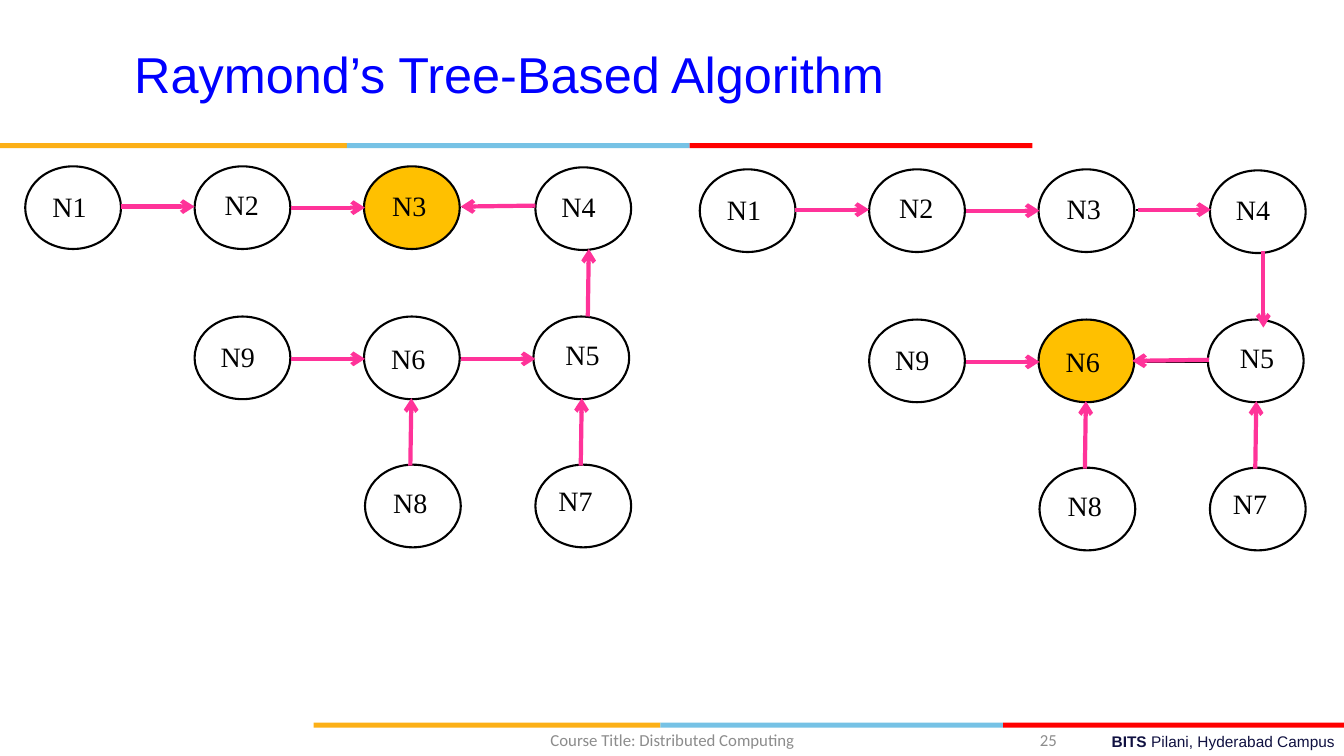
import dataclasses

import pptx
import pptx.dml.color
import pptx.enum.shapes
import pptx.enum.text
import pptx.oxml
import pptx.util
from pptx.util import Inches

ALIGN = pptx.enum.text.PP_ALIGN
ANCHOR = pptx.enum.text.MSO_ANCHOR
SHAPE = pptx.enum.shapes.MSO_SHAPE


@dataclasses.dataclass(frozen=True)
class Theme:
    """Colours, fonts and sizes of the slide."""
    title: str = "0000FF"
    campus: str = "101141"
    footer: str = "8C8C8C"
    ink: str = "000000"
    node: str = "FFFFFF"
    holder: str = "FFC000"
    pointer: str = "FF3399"
    stripes: tuple = ("FCB017", "76C2E5", "FF0000")
    title_font: str = "Arial"
    footer_font: str = "Calibri"
    node_font: str = "Times New Roman"
    title_size: int = 36
    node_size: int = 20
    footer_size: int = 12
    campus_size: int = 11
    outline: float = 1.5
    pointer_width: float = 3


THEME = Theme()
STRIPE_WIDTHS = (3.44, 3.4, 3.4)
NODE_SIZE = (0.95, 0.82)
RIGHT_TREE = (6.69, 0.03)

# Each node: ellipse left and top, then label left and top.
NODES = {
    "N1": (0.25, 1.65, 0.42, 1.83),
    "N2": (1.93, 1.65, 2.13, 1.81),
    "N3": (3.61, 1.65, 3.79, 1.82),
    "N4": (5.31, 1.66, 5.47, 1.83),
    "N5": (5.29, 3.14, 5.51, 3.3),
    "N6": (3.61, 3.14, 3.78, 3.34),
    "N7": (5.31, 4.61, 5.44, 4.75),
    "N8": (3.62, 4.61, 3.8, 4.77),
    "N9": (1.93, 3.14, 2.09, 3.32),
}
EDGES = [
    (1.19, 2.05, 1.91, 2.05), (2.88, 2.05, 3.6, 2.05),
    (4.58, 2.05, 5.3, 2.05), (5.83, 2.46, 5.83, 3.14),
    (2.89, 3.56, 3.61, 3.56), (4.57, 3.56, 5.29, 3.56),
    (4.08, 3.94, 4.08, 4.62), (5.77, 3.95, 5.77, 4.63),
]
SHARED_POINTERS = [
    (1.2, 2.05, 1.93, 2.05), (2.89, 2.06, 3.62, 2.06),
    (2.89, 3.56, 3.62, 3.56), (4.07, 4.62, 4.08, 3.95),
    (5.76, 4.62, 5.77, 3.95),
]
POINTERS_TO_N3 = [
    (5.31, 2.04, 4.57, 2.05), (5.83, 3.14, 5.84, 2.47),
    (4.57, 3.56, 5.31, 3.56),
]
POINTERS_TO_N6 = [
    (4.6, 2.05, 5.32, 2.05), (5.84, 2.46, 5.84, 3.22),
    (5.3, 3.54, 4.54, 3.55),
]


def rgb(code):
    """Return a colour from its hexadecimal code."""
    return pptx.dml.color.RGBColor.from_string(code)


def add_run(paragraph, text, font, size, color, bold=False):
    """Add one formatted run to a paragraph."""
    run = paragraph.add_run()
    run.text = text
    run.font.name = font
    run.font.size = pptx.util.Pt(size)
    run.font.bold = bold
    run.font.color.rgb = rgb(color)


def add_text(shapes, box, runs, align=ALIGN.LEFT, anchor=ANCHOR.TOP):
    """Add a wrapped text box holding one paragraph of runs."""
    frame = shapes.add_textbox(*map(Inches, box)).text_frame
    frame.word_wrap = True
    frame.vertical_anchor = anchor
    paragraph = frame.paragraphs[0]
    paragraph.alignment = align
    for run in runs:
        add_run(paragraph, *run)


def add_filled(shapes, kind, box, fill, outline=None):
    """Add a flat preset shape with an optional outline."""
    shape = shapes.add_shape(kind, *map(Inches, box))
    shape.shadow.inherit = False
    shape.fill.solid()
    shape.fill.fore_color.rgb = rgb(fill)
    if outline:
        shape.line.color.rgb = rgb(outline)
        shape.line.width = pptx.util.Pt(THEME.outline)
    else:
        shape.line.fill.background()


def add_line(shapes, ends, color, width, arrow=False):
    """Add a straight connector, with an open arrowhead if asked."""
    connector = shapes.add_connector(
        pptx.enum.shapes.MSO_CONNECTOR.STRAIGHT, *map(Inches, ends))
    connector.line.color.rgb = rgb(color)
    connector.line.width = pptx.util.Pt(width)
    if arrow:
        head = pptx.oxml.parse_xml(
            '<a:tailEnd xmlns:a="http://schemas.openxmlformats.org/drawingml/2006/main" type="arrow"/>')
        connector.line._get_or_add_ln().append(head)
    properties = connector._element.spPr
    properties.append(properties.makeelement(pptx.oxml.ns.qn("a:effectLst"), {}))


def add_stripe(slide, left, top):
    """Add the three-coloured rule as a group."""
    group = slide.shapes.add_group_shape()
    for width, color in zip(STRIPE_WIDTHS, THEME.stripes):
        add_filled(group.shapes, SHAPE.RECTANGLE, (left, top, width, 0.05), color)
        left += width


def add_tree(slide, holder, pointers, offset=(0, 0)):
    """Add one tree as a group, with the token holder highlighted."""
    shapes = slide.shapes.add_group_shape().shapes
    dx, dy = offset

    def shifted(ends):
        """Move line ends to the place of this tree."""
        x1, y1, x2, y2 = ends
        return x1 + dx, y1 + dy, x2 + dx, y2 + dy

    for edge in EDGES:
        add_line(shapes, shifted(edge), THEME.ink, THEME.outline)
    for name, place in NODES.items():
        left, top, label_left, label_top = shifted(place)
        fill = THEME.holder if name == holder else THEME.node
        add_filled(shapes, SHAPE.OVAL, (left, top, *NODE_SIZE), fill, THEME.ink)
        add_text(shapes, (label_left, label_top, 0.75, 0.6),
                 [(name, THEME.node_font, THEME.node_size, THEME.ink)])
    for pointer in SHARED_POINTERS + pointers:
        add_line(shapes, shifted(pointer), THEME.pointer, THEME.pointer_width, True)


def add_title(slide, text):
    """Place and format the title placeholder."""
    title = slide.shapes.title
    title.left, title.top, title.width, title.height = map(Inches, (0.44, 0.1, 9.22, 1.25))
    title.text_frame.vertical_anchor = ANCHOR.MIDDLE
    paragraph = title.text_frame.paragraphs[0]
    paragraph.alignment = ALIGN.CENTER
    add_run(paragraph, text, THEME.title_font, THEME.title_size, THEME.title)


def add_footer(slide):
    """Add the campus name, course title and slide number."""
    campus = (THEME.title_font, THEME.campus_size, THEME.campus)
    small = (THEME.footer_font, THEME.footer_size, THEME.footer)
    add_text(slide.shapes, (4.78, 7.21, 8.56, 0.29),
             [("BITS ", *campus, True), ("Pilani, Hyderabad Campus", *campus)], ALIGN.RIGHT)
    add_text(slide.shapes, (4.42, 7.14, 4.5, 0.4),
             [("Course Title: Distributed Computing", *small)], ALIGN.CENTER, ANCHOR.MIDDLE)
    add_text(slide.shapes, (9.22, 7.14, 1.36, 0.4), [("25", *small)],
             ALIGN.RIGHT, ANCHOR.MIDDLE)


def main():
    """Build the slide and save it."""
    presentation = pptx.Presentation()
    presentation.slide_width = Inches(13.33)
    presentation.slide_height = Inches(7.5)
    slide = presentation.slides.add_slide(presentation.slide_layouts[5])
    add_stripe(slide, 0, 1.42)
    add_stripe(slide, 3.11, 7.17)
    add_title(slide, "Raymond’s Tree-Based Algorithm")
    add_footer(slide)
    add_tree(slide, "N3", POINTERS_TO_N3)
    add_tree(slide, "N6", POINTERS_TO_N6, RIGHT_TREE)
    presentation.save("out.pptx")


if __name__ == "__main__":
    main()
